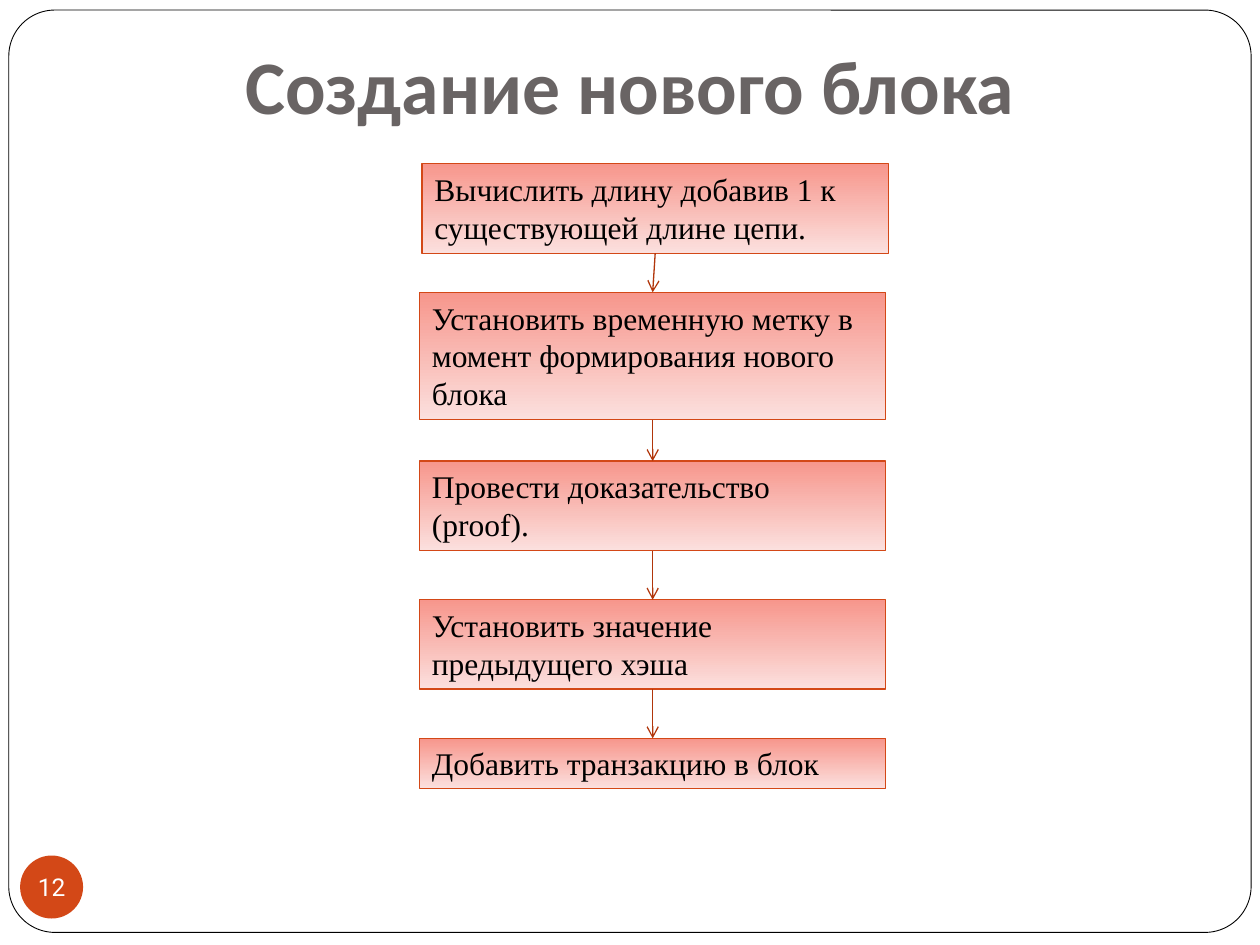
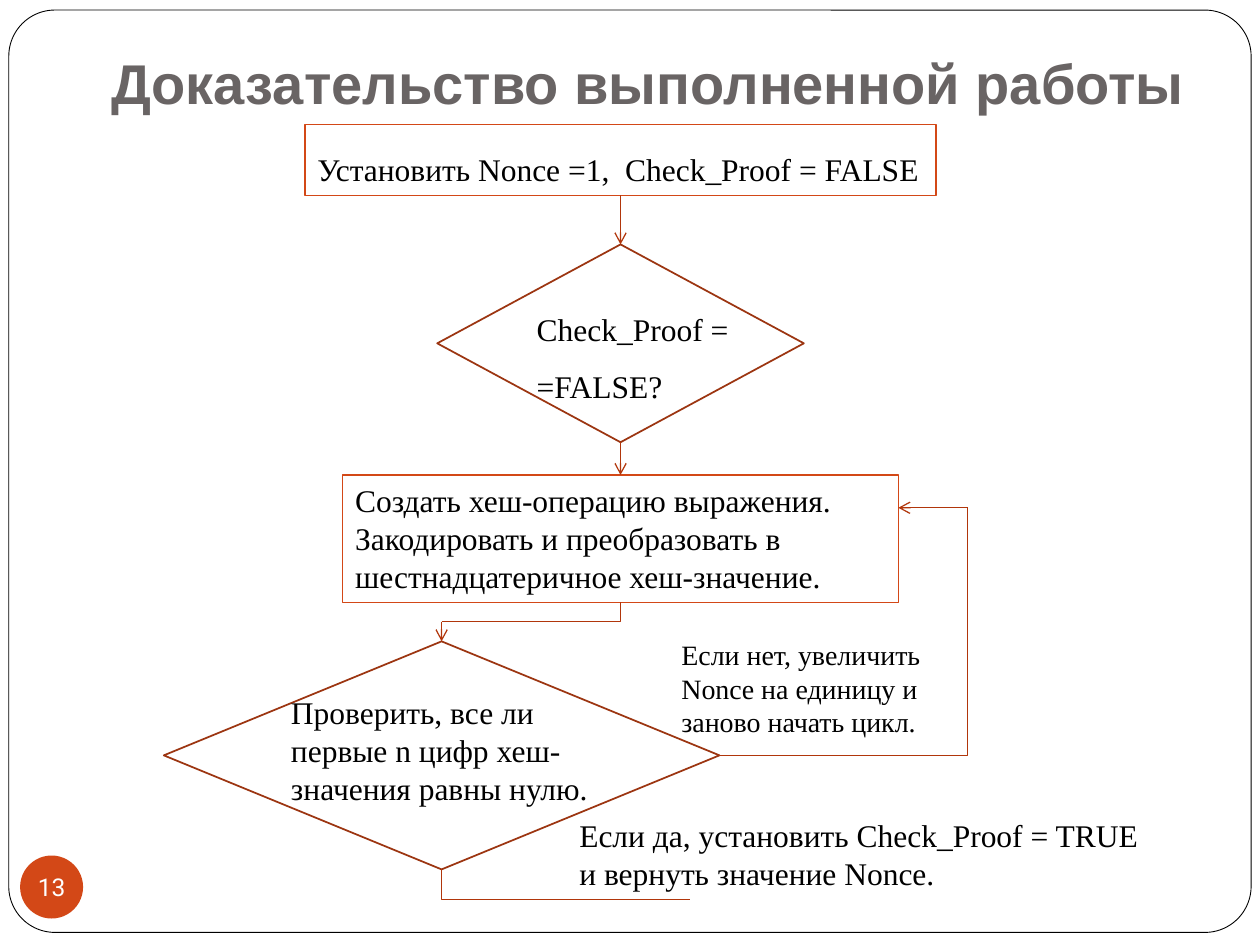
from collections import namedtuple
from itertools import pairwise

from lxml.etree import SubElement
from pptx import Presentation
from pptx.dml.color import RGBColor
from pptx.enum.shapes import MSO_CONNECTOR, MSO_SHAPE
from pptx.enum.text import MSO_ANCHOR, MSO_AUTO_SIZE, PP_ALIGN
from pptx.oxml.ns import qn
from pptx.util import Inches, Pt

WHITE, BLACK, GREY = "FFFFFF", "000000", "696464"
ORANGE, ARROW, DIAMOND = "D34817", "B1360B", "9C3511"
BOX_TOP, BOX_BOTTOM = "F7968C", "FBE0DE"
SERIF = "Times New Roman"


class Box(namedtuple("Box", "x y w h")):
    @property
    def cx(self):
        return self.x + self.w / 2

    @property
    def cy(self):
        return self.y + self.h / 2

    @property
    def right(self):
        return self.x + self.w

    @property
    def bottom(self):
        return self.y + self.h


def rgb(value):
    return RGBColor.from_string(value)


def inches(values):
    return [Inches(v) for v in values]


def write(tf, text, size=18, font=SERIF, color=BLACK, bold=False,
          align=PP_ALIGN.LEFT, anchor=MSO_ANCHOR.TOP, spacing=None,
          insets=(0.1, 0.05, 0.1, 0.05), wrap=True):
    tf.auto_size = MSO_AUTO_SIZE.NONE
    tf.word_wrap = wrap
    tf.vertical_anchor = anchor
    (tf.margin_left, tf.margin_top,
     tf.margin_right, tf.margin_bottom) = inches(insets)
    p = tf.paragraphs[0]
    p.alignment = align
    p.line_spacing = spacing
    r = p.add_run()
    r.text = text
    r.font.size = Pt(size)
    r.font.name = font
    r.font.bold = bold
    r.font.color.rgb = rgb(color)


def add_shape(shapes, kind, box, fill=None, line=None, width=0.75):
    sp = shapes.add_shape(kind, *inches(box))
    sp.shadow.inherit = False
    if fill:
        sp.fill.solid()
        sp.fill.fore_color.rgb = rgb(fill)
    else:
        sp.fill.background()
    if line:
        sp.line.color.rgb = rgb(line)
        sp.line.width = Pt(width)
    else:
        sp.line.fill.background()
    return sp


def add_label(shapes, box, text, **style):
    write(shapes.add_textbox(*inches(box)).text_frame, text, **style)


def add_line(shapes, start, end, arrow=True, bent=False):
    c = shapes.add_connector(MSO_CONNECTOR.STRAIGHT, *inches(start + end))
    c.line.color.rgb = rgb(ARROW)
    c.line.width = Pt(0.75)
    spPr = c._element.spPr
    if bent:
        spPr.find(qn("a:prstGeom")).set("prst", "bentConnector2")
    if arrow:
        SubElement(c.line._get_or_add_ln(), qn("a:tailEnd"), type="arrow")
    SubElement(spPr, qn("a:effectLst"))


def link_down(shapes, upper, lower):
    add_line(shapes, (upper.cx, upper.bottom), (lower.cx, lower.y))


def add_frame(s, master):
    frame = add_shape(s.shapes, MSO_SHAPE.ROUNDED_RECTANGLE,
                      Box(0.07, 0.08, 9.86, 7.32), WHITE, BLACK, 0.5)
    frame.adjustments[0] = 0.05
    master.shapes._spTree.insert(2, frame._element)


def add_slide(prs, number, title, box, size, font):
    s = prs.slides.add_slide(prs.slide_layouts[5])
    sp = s.shapes.title
    sp.left, sp.top, sp.width, sp.height = inches(box)
    write(sp.text_frame, title, size, font, GREY, True, PP_ALIGN.CENTER,
          MSO_ANCHOR.BOTTOM, insets=(0.1, 0.05, 0.1, 0.1))
    badge = add_shape(s.shapes, MSO_SHAPE.OVAL, Box(0.16, 6.79, 0.5, 0.5), ORANGE)
    write(badge.text_frame, str(number), 14, "Roboto", WHITE,
          align=PP_ALIGN.CENTER, anchor=MSO_ANCHOR.MIDDLE,
          insets=(0, 0, 0, 0), wrap=False)
    return s


def block_steps(s, area):
    group = s.shapes.add_group_shape().shapes
    steps = [
        (0.02, 0, 0.71, "Вычислить длину добавив 1 к существующей длине цепи."),
        (0, 1.02, 1.01, "Установить временную метку в момент формирования нового блока"),
        (0, 2.36, 0.71, "Провести доказательство (proof)."),
        (0, 3.46, 0.71, "Установить значение предыдущего хэша"),
        (0, 4.56, 0.4, "Добавить транзакцию в блок"),
    ]
    boxes = []
    for dx, dy, height, text in steps:
        box = Box(area.x + dx, area.y + dy, area.w, height)
        sp = add_shape(group, MSO_SHAPE.RECTANGLE, box, line=ORANGE)
        sp.fill.gradient()
        sp.fill.gradient_angle = 270
        for stop, color in zip(sp.fill.gradient_stops, (BOX_TOP, BOX_BOTTOM)):
            stop.color.rgb = rgb(color)
        write(sp.text_frame, text)
        boxes.append(box)
    for upper, lower in pairwise(boxes):
        link_down(group, upper, lower)


def proof_flow(s, area):
    shapes = s.shapes

    def place(dx, dy, w, h):
        return Box(area.x + dx, area.y + dy, w, h)

    start = place(1.12, 0, 5.01, 0.56)
    check = place(2.17, 0.95, 2.91, 1.57)
    hashing = place(1.42, 2.78, 4.41, 1.01)
    zeros = place(0, 4.1, 4.41, 1.81)

    for box, text, spacing in (
        (start, "Установить Nonce =1,  Check_Proof = FALSE", 1.5),
        (hashing, "Создать хеш-операцию выражения. Закодировать и преобразовать "
                  "в шестнадцатеричное хеш-значение.", None),
    ):
        sp = add_shape(shapes, MSO_SHAPE.RECTANGLE, box, line=ORANGE)
        write(sp.text_frame, text, spacing=spacing)
    for box in (check, zeros):
        add_shape(shapes, MSO_SHAPE.DIAMOND, box, line=DIAMOND, width=1)

    flush = (0, 0, 0, 0)
    add_label(shapes, place(2.96, 1.32, 1.57, 0.9), "Check_Proof = =FALSE?",
              spacing=1.5, insets=flush)
    add_label(shapes, place(1.01, 4.51, 2.73, 1.09),
              "Проверить, все ли первые n цифр хеш-значения равны нулю.",
              insets=flush)
    add_label(shapes, place(3.2, 5.44, 4.8, 1.01),
              "Если да, установить Check_Proof = TRUE и вернуть значение Nonce.")
    add_label(shapes, place(4.01, 4.02, 2.36, 1.21),
              "Если нет, увеличить Nonce на единицу и заново начать цикл.", size=16)

    link_down(shapes, start, check)
    link_down(shapes, check, hashing)

    turn_y = (hashing.bottom + zeros.y) / 2
    add_line(shapes, (zeros.cx, turn_y), (hashing.cx, hashing.bottom), False, True)
    add_line(shapes, (zeros.cx, turn_y), (zeros.cx, zeros.y))

    loop = (zeros.right + 1.97, hashing.y + 0.26)
    add_line(shapes, (zeros.right, zeros.cy), loop, False, True)
    add_line(shapes, loop, (hashing.right, loop[1]))

    add_line(shapes, (zeros.cx + 1.97, zeros.bottom + 0.24),
             (zeros.cx, zeros.bottom), False, True)


def main():
    prs = Presentation()
    prs.slide_width, prs.slide_height = Inches(10), Inches(7.5)

    s = add_slide(prs, 12, "Создание нового блока",
                  Box(0.5, 0.2, 9, 0.93), 43.2, "Calibri")
    add_frame(s, prs.slide_master)
    block_steps(s, Box(3.33, 1.3, 3.7, 4.96))

    s = add_slide(prs, 13, "Доказательство выполненной работы",
                  Box(0.29, 0.09, 9.71, 0.93), 32, "Arial")
    proof_flow(s, Box(1.3, 0.99, 8, 6.45))

    prs.save("out.pptx")


if __name__ == "__main__":
    main()
